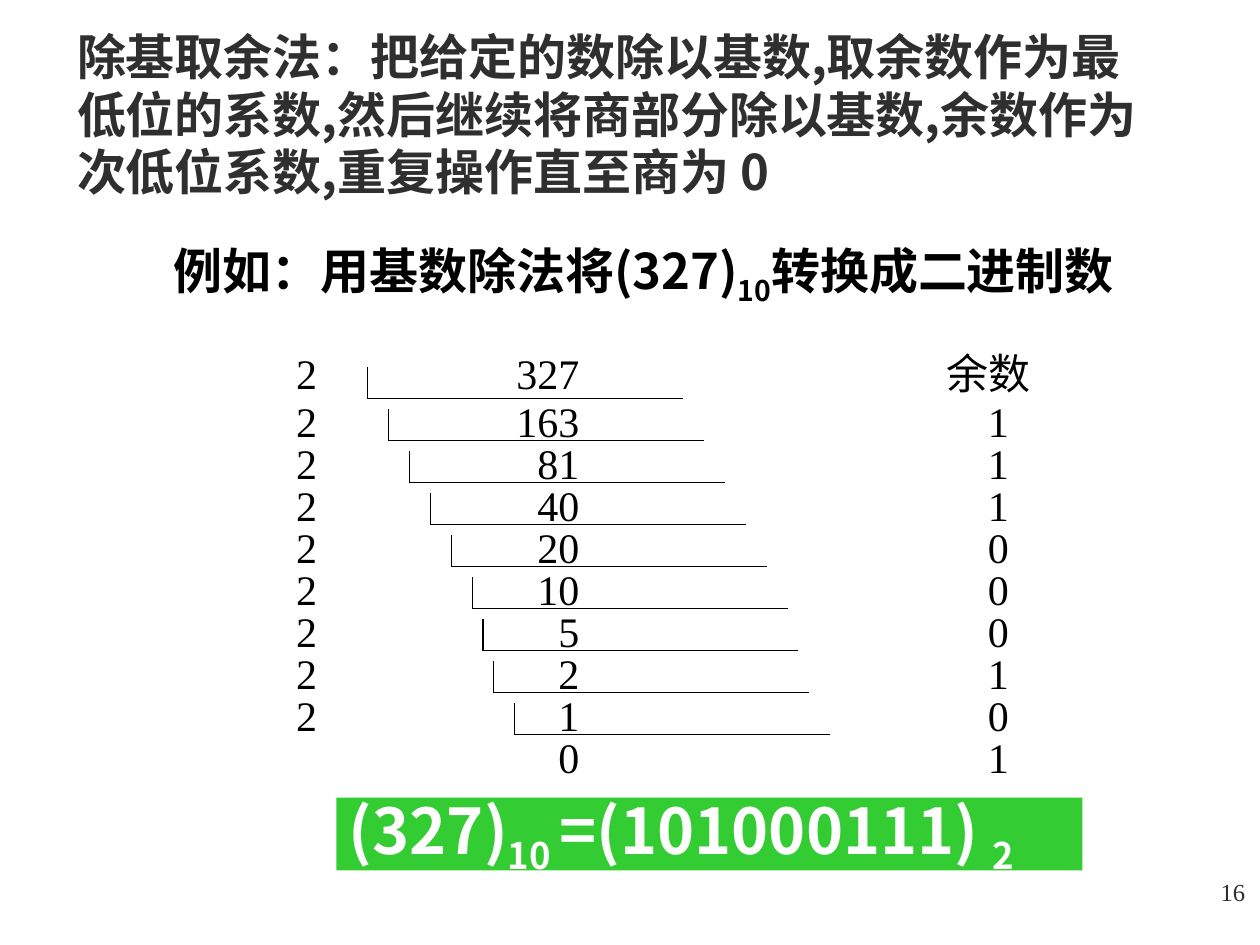
from dataclasses import dataclass

from lxml import etree
from pptx import Presentation
from pptx.dml.color import RGBColor
from pptx.enum.shapes import MSO_CONNECTOR, MSO_SHAPE
from pptx.enum.text import MSO_ANCHOR, MSO_AUTO_SIZE, PP_ALIGN
from pptx.oxml.ns import qn
from pptx.util import Cm, Pt

LEFT, RIGHT = PP_ALIGN.LEFT, PP_ALIGN.RIGHT
TOP, MIDDLE = MSO_ANCHOR.TOP, MSO_ANCHOR.MIDDLE
NO_FIT = MSO_AUTO_SIZE.NONE
RECT, STRAIGHT = MSO_SHAPE.RECTANGLE, MSO_CONNECTOR.STRAIGHT

PITCH = 2.54 / 3
INDENT = PITCH / 4
BASE = 10
ROWS = [
    ("2", "327", "余数"),
    ("2", "163", "1"),
    ("2", "81", "1"),
    ("2", "40", "1"),
    ("2", "20", "0"),
    ("2", "10", "0"),
    ("2", "5", "0"),
    ("2", "2", "1"),
    ("2", "1", "0"),
    ("", "0", "1"),
]
STEPS = [0, 2, 4, 6, 8, 10, 11, 12, 14]


@dataclass(frozen=True)
class Theme:
    """Colours, fonts and type sizes of the slide."""
    ink: RGBColor = RGBColor(0, 0, 0)
    grey: RGBColor = RGBColor(0x2F, 0x2F, 0x2F)
    green: RGBColor = RGBColor(0x33, 0xCC, 0x33)
    white: RGBColor = RGBColor(0xFF, 0xFF, 0xFF)
    sans: str = "Noto Sans CJK SC"
    serif: str = "Times New Roman"
    head: int = 28
    sum: int = 24
    answer: int = 36
    page: int = 14
    rule: float = 0.75


class Board:
    """Draws each kind of element on the current slide."""

    def __init__(self, slide, theme):
        self.slide = slide
        self.theme = theme

    def frame(self, shape, anchor):
        frame = shape.text_frame
        frame.auto_size = NO_FIT
        frame.word_wrap = True
        frame.vertical_anchor = anchor
        return frame.paragraphs[0]

    def style(self, para, size, color, face, bold=False, align=LEFT):
        para.alignment = align
        font = para.font
        font.size, font.bold, font.name = Pt(size), bold, face
        font.color.rgb = color
        if face == self.theme.sans:
            props = para._p.pPr.find(qn("a:defRPr"))
            etree.SubElement(props, qn("a:ea"), typeface=face)

    def runs(self, para, parts):
        for text, low in parts:
            run = para.add_run()
            run.text = text
            if low:
                run.font._element.set("baseline", "-25000")

    def holder(self, index, box, anchor):
        shape = self.slide.placeholders[index]
        shape.left, shape.top, shape.width, shape.height = map(Cm, box)
        return self.frame(shape, anchor)

    def title(self, text, box):
        para = self.holder(0, box, MIDDLE)
        para.text = text
        para.line_spacing = Pt(33)
        self.style(para, self.theme.head, self.theme.grey, self.theme.sans, True)

    def body(self, parts, box):
        para = self.holder(1, box, TOP)
        props = para._p.get_or_add_pPr()
        props.set("marL", str(Cm(0.96)))
        props.set("indent", "0")
        etree.SubElement(props, qn("a:buNone"))
        para.space_before = Pt(0)
        self.runs(para, parts)
        self.style(para, self.theme.head, self.theme.ink, self.theme.sans, True)

    def label(self, text, box, size, color, align=LEFT, tabs=()):
        shape = self.slide.shapes.add_textbox(*map(Cm, box))
        para = self.frame(shape, MIDDLE)
        para.text = text
        if tabs:
            stops = etree.SubElement(para._p.get_or_add_pPr(), qn("a:tabLst"))
            for tab in tabs:
                etree.SubElement(stops, qn("a:tab"), pos=str(Cm(tab)), algn="r")
        self.style(para, size, color, self.theme.serif, align=align)

    def line(self, *ends):
        rule = self.slide.shapes.add_connector(STRAIGHT, *map(Cm, ends))
        rule.line.color.rgb = self.theme.ink
        rule.line.width = Pt(self.theme.rule)
        etree.SubElement(rule._element.spPr, qn("a:effectLst"))

    def banner(self, parts, box):
        shape = self.slide.shapes.add_shape(RECT, *map(Cm, box))
        shape.shadow.inherit = False
        shape.fill.solid()
        shape.fill.fore_color.rgb = self.theme.green
        shape.line.fill.background()
        para = self.frame(shape, MIDDLE)
        self.runs(para, parts)
        self.style(para, self.theme.answer, self.theme.white, self.theme.sans, True)


def main():
    deck = Presentation()
    deck.slide_width, deck.slide_height = Cm(25.4), Cm(19.05)
    theme = Theme()
    board = Board(deck.slides.add_slide(deck.slide_layouts[1]), theme)

    board.label("16", (20.07, 17.35, 5.28, 1.27), theme.page, theme.grey, RIGHT)
    board.title(
        "除基取余法：把给定的数除以基数,取余数作为最低位的系数,"
        "然后继续将商部分除以基数,余数作为次低位系数,重复操作直至商为 0",
        (1.3, 0.71, 22.4, 3.18),
    )
    board.body(
        [("例如：用基数除法将(327)", False), (str(BASE), True), ("转换成二进制数", False)],
        (2.29, 4.72, 21.18, 11.43),
    )
    for i, (base, value, rest) in enumerate(ROWS):
        top = 7.21 + i * PITCH if i else 7.08
        tabs = (5.71, 14.37 if i else 14.8)
        board.label(f"{base}\t{value}\t{rest}", (5.72, top, 17.35, PITCH),
                    theme.sum, theme.ink, tabs=tabs)
    for i, step in enumerate(STEPS):
        x, y = 7.41 + step * INDENT, 8.04 + i * PITCH
        board.line(x, y, x + 6.35, y)
        board.line(x, y - 0.64, x, y)
    board.banner(
        [("(327)", False), (f"{BASE} ", True), ("=(101000111) ", False), ("2", True)],
        (6.78, 16.08, 15.04, 1.47),
    )
    deck.save("out.pptx")


if __name__ == "__main__":
    main()
